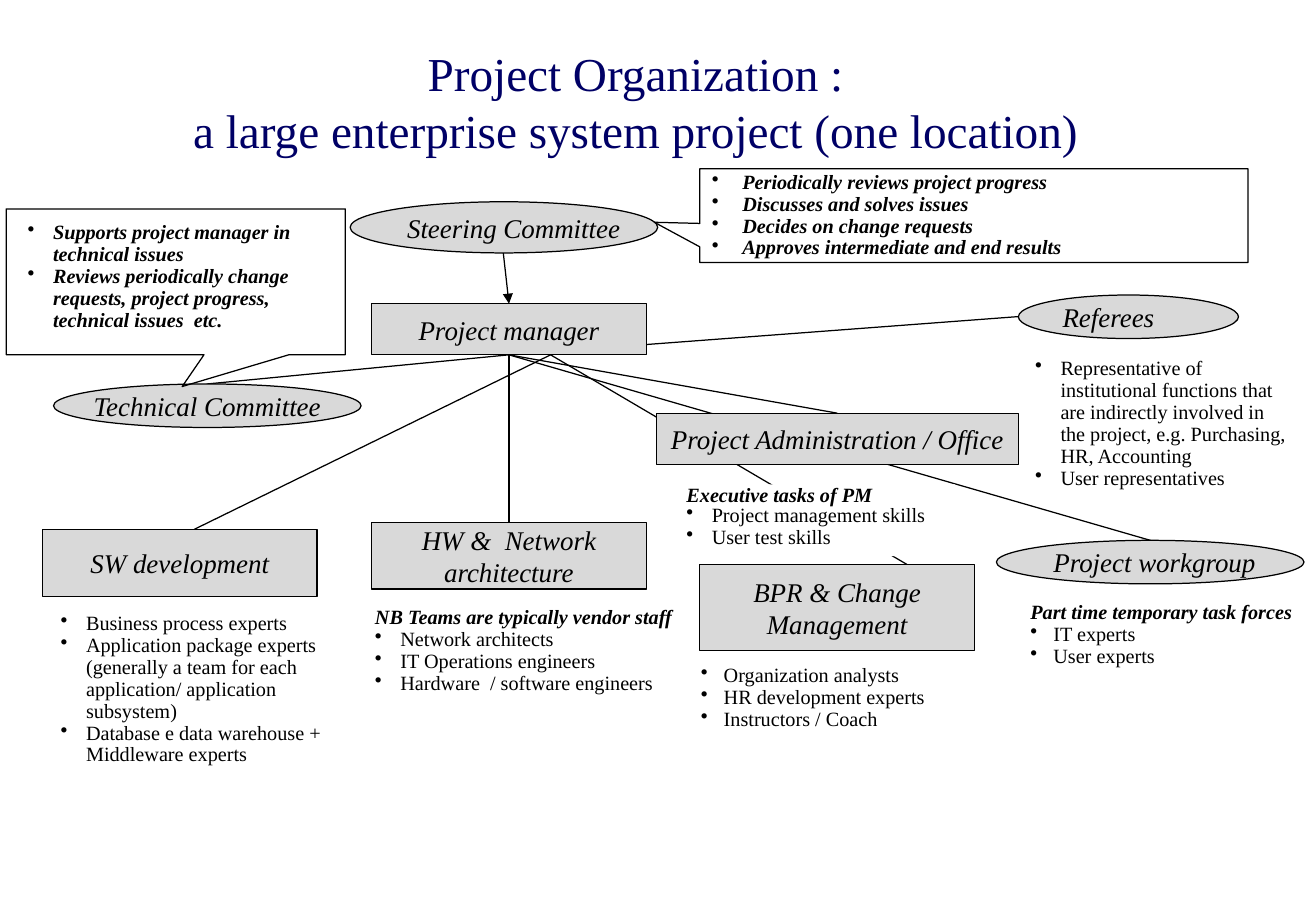
from dataclasses import dataclass

from lxml import etree
from pptx import Presentation
from pptx.dml.color import RGBColor
from pptx.enum.shapes import MSO_CONNECTOR, MSO_SHAPE
from pptx.enum.text import MSO_ANCHOR, MSO_AUTO_SIZE, PP_ALIGN
from pptx.oxml.ns import qn
from pptx.util import Cm, Pt

RECT, ELLIPSE = MSO_SHAPE.RECTANGLE, MSO_SHAPE.OVAL
CALLOUT = MSO_SHAPE.RECTANGULAR_CALLOUT
LEFT, CENTER = PP_ALIGN.LEFT, PP_ALIGN.CENTER
TOP, MIDDLE = MSO_ANCHOR.TOP, MSO_ANCHOR.MIDDLE
STRAIGHT, NO_FIT = MSO_CONNECTOR.STRAIGHT, MSO_AUTO_SIZE.NONE
SIDE_TOP, SIDE_BOTTOM = 0, 2
FONT = "Times New Roman"
BLACK, WHITE, GREY, NAVY = "000000", "FFFFFF", "D9D9D9", "000066"
LINE_WIDTH = Pt(0.75)


@dataclass
class Node:
    """A role or team on the chart; box is left, top, width, height in cm."""
    text: str
    box: tuple
    kind: int = RECT
    align: int = CENTER
    wrap: bool = False


@dataclass
class Note:
    """A bulleted list with an optional bold heading."""
    box: tuple
    bullets: list
    heading: str = ""
    heading_spacing: float = 0.9
    indent: float = 0.53
    bold: bool = False
    fill: str = ""


@dataclass
class Callout:
    box: tuple
    tip: tuple


@dataclass
class Link:
    """A line; each end is a point in cm or a (node name, side) pair."""
    start: tuple
    end: tuple
    arrow: bool = False


PM, HW = "Project manager", "HW &  Network architecture"
OFFICE = "Project Administration / Office"
PM_BOTTOM, PM_RIGHT_OF_CENTER = (PM, SIDE_BOTTOM), (11.51, 7.42)

NODES = [
    Node("SW development", (0.89, 11.07, 5.74, 1.4)),
    Node(HW, (7.77, 10.92, 5.74, 1.4), wrap=True),
    Node("BPR & Change Management", (14.63, 11.81, 5.74, 1.8), wrap=True),
    Node(PM, (7.77, 6.35, 5.74, 1.07)),
    Node("Steering Committee", (7.32, 4.22, 6.43, 1.07), ELLIPSE, LEFT),
    Node("Technical Committee", (1.12, 8.03, 6.43, 0.91), ELLIPSE),
    Node("Referees", (21.29, 6.17, 4.6, 0.91), ELLIPSE, LEFT),
    Node("Project workgroup", (20.83, 11.3, 6.43, 0.91), ELLIPSE, LEFT),
    Node(OFFICE, (13.72, 8.64, 7.57, 1.07)),
]
LINKS = [
    Link(PM_BOTTOM, (24.05, 11.3)),
    Link(PM_BOTTOM, (21.29, 6.62)),
    Link(PM_RIGHT_OF_CENTER, (4.06, 11.07)),
    Link(PM_BOTTOM, (HW, SIDE_TOP)),
    Link(PM_RIGHT_OF_CENTER, (18.97, 11.81)),
    Link(PM_BOTTOM, (OFFICE, SIDE_TOP)),
    Link(PM_BOTTOM, (4.32, 8.03)),
    Link((10.52, 5.28), (PM, SIDE_TOP), arrow=True),
]
TECHNICAL_CALLOUT = Callout((0.13, 4.37, 7.09, 3.05), (0.019, 0.718))
STEERING_CALLOUT = Callout((14.63, 3.53, 11.46, 1.96), (-0.583, 0.071))
STEERING_TASKS = Note(STEERING_CALLOUT.box, [
    "Periodically reviews project progress", "Discusses and solves issues",
    "Decides on change requests", "Approves intermediate and end results",
], indent=0.64, bold=True)
NOTES = [
    Note((1.02, 12.7, 6.91, 3.48), [
        "Business process experts",
        "Application package experts (generally a team for each application/ "
        "application subsystem)",
        "Database e data warehouse + Middleware experts"]),
    Note((7.59, 12.57, 7.19, 2.11), [
        "Network architects", "IT Operations engineers",
        "Hardware  / software engineers"],
        "NB Teams are typically vendor staff"),
    Note((14.4, 13.79, 7.26, 1.65), [
        "Organization analysts", "HR development experts",
        "Instructors / Coach"], indent=0.48),
    Note((21.39, 7.37, 5.87, 3.02), [
        "Representative of institutional functions that are indirectly "
        "involved in the project, e.g. Purchasing, HR, Accounting",
        "User representatives"]),
    Note((0.33, 4.52, 7.09, 2.57), [
        "Supports project manager in technical issues",
        "Reviews periodically change requests, project progress, "
        "technical issues  etc."], bold=True),
    Note((14.1, 10.13, 5.87, 1.5), [
        "Project management skills", "User test skills"],
        "Executive tasks of PM", heading_spacing=0.6, fill=WHITE),
    Note((21.29, 12.47, 6.2, 1.65), ["IT experts", "User experts"],
         "Part time temporary task forces", indent=0.48),
]


def rgb(value: str) -> RGBColor:
    return RGBColor.from_string(value)


def add_run(p, text: str, size: float, color: str = BLACK,
            bold: bool = False, italic: bool = False) -> None:
    r = p.add_run()
    r.text = text
    r.font.name, r.font.size = FONT, Pt(size)
    r.font.bold, r.font.italic = bold, italic
    r.font.color.rgb = rgb(color)


def set_frame(tf, anchor: int, wrap: bool) -> None:
    tf.auto_size, tf.vertical_anchor, tf.word_wrap = NO_FIT, anchor, wrap


def add_outlined(slide, kind: int, box: tuple, fill: str = ""):
    sp = slide.shapes.add_shape(kind, *map(Cm, box))
    sp.shadow.inherit = False
    if fill:
        sp.fill.solid()
        sp.fill.fore_color.rgb = rgb(fill)
    else:
        sp.fill.background()
    sp.line.color.rgb, sp.line.width = rgb(BLACK), LINE_WIDTH
    return sp


def add_node(slide, node: Node):
    sp = add_outlined(slide, node.kind, node.box, GREY)
    set_frame(sp.text_frame, MIDDLE, node.wrap)
    p = sp.text_frame.paragraphs[0]
    p.alignment = node.align
    add_run(p, node.text, 16, italic=True)
    return sp


def add_callout(slide, callout: Callout):
    sp = add_outlined(slide, CALLOUT, callout.box)
    for i, value in enumerate(callout.tip):
        sp.adjustments[i] = value
    return sp


def fill_note(tf, note: Note) -> None:
    """Write the heading and the bullets into a text frame."""
    lines = [note.heading] if note.heading else []
    for i, text in enumerate(lines + note.bullets):
        p = tf.paragraphs[0] if i == 0 else tf.add_paragraph()
        p.alignment = LEFT
        is_heading = i < len(lines)
        if not is_heading:
            pPr = p._p.get_or_add_pPr()
            pPr.set("marL", str(Cm(note.indent)))
            pPr.set("indent", str(-Cm(note.indent)))
            etree.SubElement(pPr, qn("a:buChar")).set("char", "•")
        p.line_spacing = note.heading_spacing if is_heading else 0.9
        strong = is_heading or note.bold
        add_run(p, text, 12, bold=strong, italic=strong)


def add_note(slide, note: Note) -> None:
    sp = slide.shapes.add_textbox(*map(Cm, note.box))
    if note.fill:
        sp.fill.solid()
        sp.fill.fore_color.rgb = rgb(note.fill)
    set_frame(sp.text_frame, TOP, True)
    fill_note(sp.text_frame, note)


def add_link(slide, link: Link, nodes: dict) -> None:
    """Draw a line behind the nodes, joined where an end names a node."""
    points = [(0, 0) if end[0] in nodes else end
              for end in (link.start, link.end)]
    cxn = slide.shapes.add_connector(
        STRAIGHT, *(Cm(v) for point in points for v in point))
    for end, connect in ((link.start, cxn.begin_connect),
                         (link.end, cxn.end_connect)):
        if end[0] in nodes:
            connect(nodes[end[0]], end[1])
    cxn.line.color.rgb, cxn.line.width = rgb(BLACK), LINE_WIDTH
    if link.arrow:
        ln = cxn.line._get_or_add_ln()
        etree.SubElement(ln, qn("a:tailEnd")).set("type", "triangle")
    etree.SubElement(cxn._element.spPr, qn("a:effectLst"))
    slide.shapes._spTree.insert(2, cxn._element)


def set_title(slide) -> None:
    sp = slide.shapes.title
    sp.left, sp.top, sp.width, sp.height = map(Cm, (1.93, 0.84, 22.71, 2.54))
    set_frame(sp.text_frame, MIDDLE, True)
    p = sp.text_frame.paragraphs[0]
    p.alignment = CENTER
    add_run(p, "Project Organization :", 28, NAVY)
    p.add_line_break()
    add_run(p, "a large enterprise system project (one location)", 28, NAVY)


def main() -> None:
    prs = Presentation()
    prs.slide_width, prs.slide_height = Cm(27.51), Cm(19.05)
    slide = prs.slides.add_slide(prs.slide_layouts[5])
    set_title(slide)
    add_callout_order = (TECHNICAL_CALLOUT, STEERING_CALLOUT)
    for note in NOTES:
        add_note(slide, note)
    nodes = {node.text: add_node(slide, node) for node in NODES}
    _, steering = [add_callout(slide, c) for c in add_callout_order]
    set_frame(steering.text_frame, MIDDLE, False)
    fill_note(steering.text_frame, STEERING_TASKS)
    for link in LINKS:
        add_link(slide, link, nodes)
    prs.save("out.pptx")


if __name__ == "__main__":
    main()
